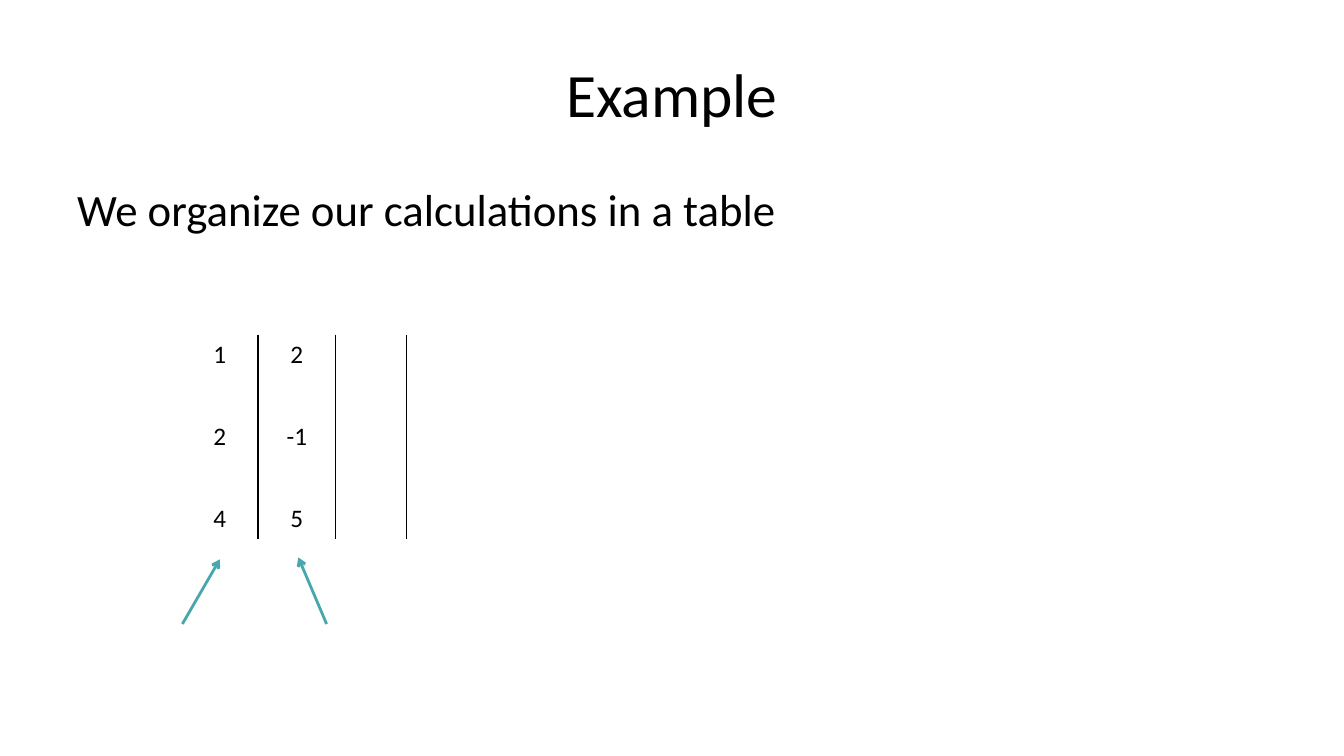
from typing import NamedTuple

from lxml.etree import SubElement
from pptx import Presentation
from pptx.dml.color import RGBColor
from pptx.enum.shapes import MSO_CONNECTOR
from pptx.enum.text import MSO_ANCHOR, PP_ALIGN
from pptx.oxml import parse_xml
from pptx.oxml.ns import nsdecls, qn
from pptx.slide import Slide
from pptx.table import _Cell
from pptx.text.text import TextFrame
from pptx.util import Pt

BLACK = RGBColor(0x00, 0x00, 0x00)
TEAL = RGBColor(0x48, 0xA6, 0xAD)
FONT_NAME = "Calibri"

TABLE_LEFT, TABLE_TOP = 129.6, 239
ROW_HEIGHT = 29.25
COLUMN_WIDTHS = (54.7, 55.5, 50.5, 48.2)
RULED_BOUNDARIES = 3
POINTS = (("1", "2"), ("2", "-1"), ("4", "5"))


class Caption(NamedTuple):
    text: str
    top: float
    height: float
    size: float
    alignment: PP_ALIGN
    anchor: MSO_ANCHOR


class Arrow(NamedTuple):
    start_x: float
    start_y: float
    end_x: float
    end_y: float


CAPTIONS = (
    Caption("Example", 21.6, 90, 44, PP_ALIGN.CENTER, MSO_ANCHOR.MIDDLE),
    Caption("We organize our calculations in a table", 126, 356.4, 32,
            PP_ALIGN.LEFT, MSO_ANCHOR.TOP),
)
ARROWS = (
    Arrow(130.3, 445.7, 157, 399.6),
    Arrow(233.3, 445.7, 213.1, 398.2),
)


def write_text(frame: TextFrame, text: str, size: float, alignment: PP_ALIGN) -> None:
    paragraph = frame.paragraphs[0]
    paragraph.text = text
    paragraph.alignment = alignment
    paragraph.font.name = FONT_NAME
    paragraph.font.size = Pt(size)
    paragraph.font.color.rgb = BLACK


def add_caption(page: Slide, caption: Caption) -> None:
    box = page.shapes.add_textbox(Pt(48), Pt(caption.top), Pt(864), Pt(caption.height))
    box.text_frame.word_wrap = True
    box.text_frame.vertical_anchor = caption.anchor
    write_text(box.text_frame, caption.text, caption.size, caption.alignment)


def set_borders(cell: _Cell, column: int) -> None:
    ruled = {
        "lnL": 0 < column <= RULED_BOUNDARIES,
        "lnR": column < RULED_BOUNDARIES,
        "lnT": False,
        "lnB": False,
    }
    properties = cell._tc.get_or_add_tcPr()
    for position, (side, visible) in enumerate(ruled.items()):
        paint = f'<a:solidFill><a:srgbClr val="{BLACK}"/></a:solidFill>' if visible else "<a:noFill/>"
        border = parse_xml(f'<a:{side} {nsdecls("a")} w="{Pt(1)}">{paint}</a:{side}>')
        properties.insert(position, border)


def add_points_table(page: Slide) -> None:
    row_count = 2 * len(POINTS) - 1
    table = page.shapes.add_table(
        row_count, len(COLUMN_WIDTHS), Pt(TABLE_LEFT), Pt(TABLE_TOP),
        Pt(sum(COLUMN_WIDTHS)), Pt(ROW_HEIGHT * row_count),
    ).table
    table.first_row = False
    table.horz_banding = False
    for column, width in zip(table.columns, COLUMN_WIDTHS):
        column.width = Pt(width)
    for row_index, row in enumerate(table.rows):
        row.height = Pt(ROW_HEIGHT)
        for column_index, cell in enumerate(row.cells):
            cell.margin_top = cell.margin_bottom = Pt(2)
            cell.vertical_anchor = MSO_ANCHOR.MIDDLE
            cell.fill.background()
            set_borders(cell, column_index)
            if row_index % 2 == 0 and column_index < len(POINTS[0]):
                value = POINTS[row_index // 2][column_index]
                write_text(cell.text_frame, value, 18, PP_ALIGN.CENTER)


def add_arrow(page: Slide, arrow: Arrow) -> None:
    connector = page.shapes.add_connector(
        MSO_CONNECTOR.STRAIGHT, Pt(arrow.start_x), Pt(arrow.start_y),
        Pt(arrow.end_x), Pt(arrow.end_y),
    )
    connector.line.color.rgb = TEAL
    connector.line.width = Pt(2)
    SubElement(connector.line._get_or_add_ln(), qn("a:tailEnd"), type="arrow")
    SubElement(connector._element.spPr, qn("a:effectLst"))


def main() -> None:
    deck = Presentation()
    deck.slide_width, deck.slide_height = Pt(960), Pt(540)
    page = deck.slides.add_slide(deck.slide_layouts[6])
    for caption in CAPTIONS:
        add_caption(page, caption)
    add_points_table(page)
    for arrow in ARROWS:
        add_arrow(page, arrow)
    deck.save("out.pptx")


if __name__ == "__main__":
    main()
